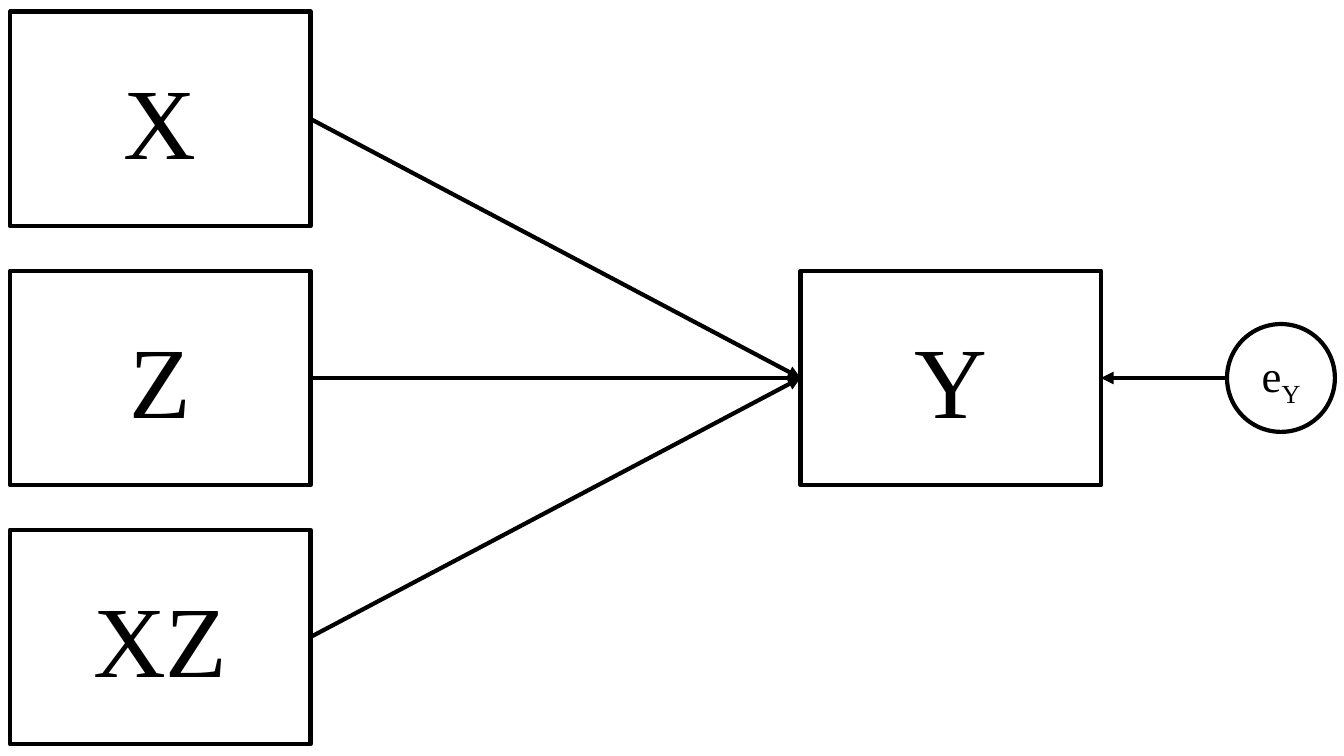
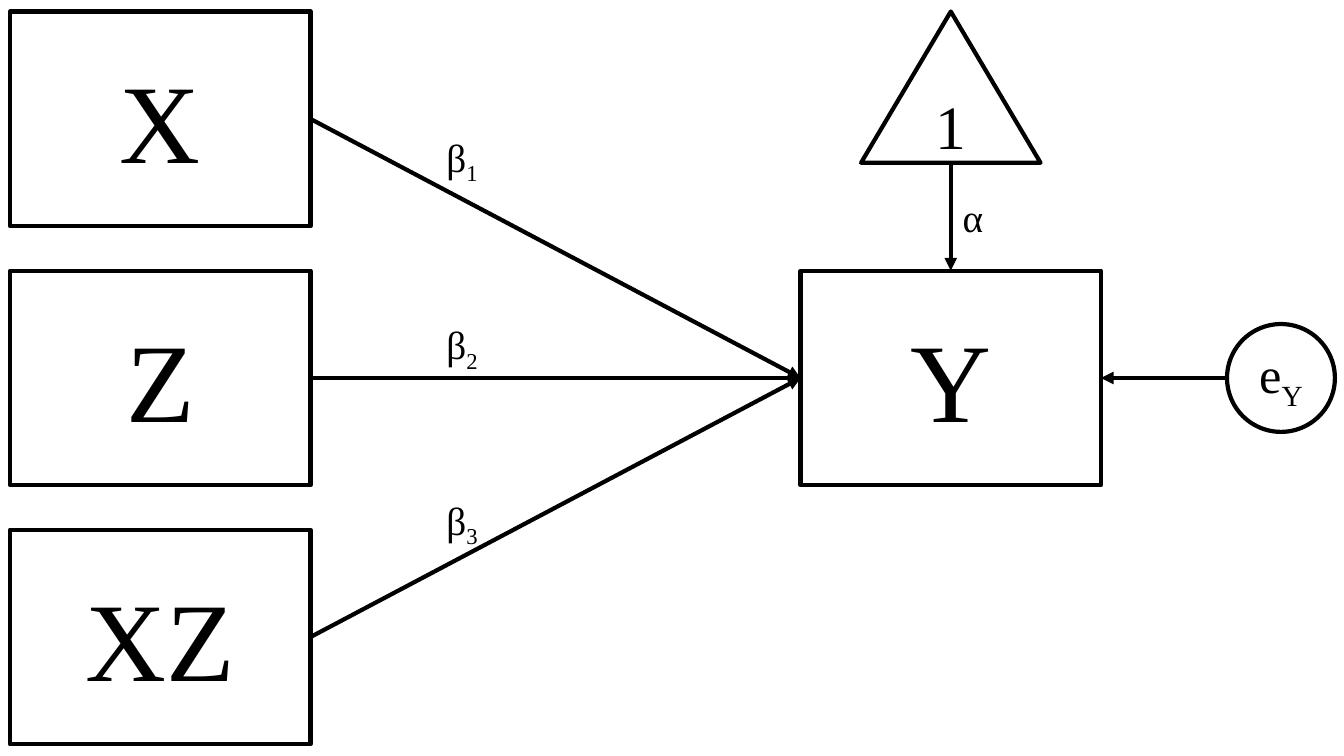
"""Build two path diagrams of a regression with an interaction."""
from lxml.etree import SubElement
from pptx import Presentation
from pptx.dml.color import RGBColor
from pptx.enum.shapes import MSO_CONNECTOR, MSO_SHAPE
from pptx.enum.text import MSO_ANCHOR, PP_ALIGN
from pptx.oxml.ns import qn
from pptx.util import Inches, Pt

BLACK, WHITE, FONT = "000000", "FFFFFF", "Times New Roman"
WIDE, HIGH = 2.98, 2.13
LEFT, RIGHT = 0.1, 7.94
MID = 3.75
STEP = 2.57
ROWS = [MID + STEP * i for i in (-1, 0, 1)]
TOP = ROWS[0] - HIGH / 2
HUB = RIGHT + WIDE / 2
ROUND = 1.07
ERROR = 12.17
TIP = 1.5


def color(code):
    return RGBColor.from_string(code)


def write(shape, text, sub="", size=28, align=PP_ALIGN.CENTER, anchor=MSO_ANCHOR.MIDDLE):
    frame = shape.text_frame
    frame.word_wrap = True
    frame.vertical_anchor = anchor
    line = frame.paragraphs[0]
    line.alignment = align
    for part, base in ((text, 0), (sub, -25000)):
        if part:
            run = line.add_run()
            run.text = part
            run.font.name = FONT
            run.font.size = Pt(size)
            run.font.color.rgb = color(BLACK)
            if base:
                run._r.get_or_add_rPr().set("baseline", str(base))


deck = Presentation()
deck.slide_width, deck.slide_height = Inches(13.33), Inches(7.5)

for big, small, full in ((72, 32, False), (80, 36, True)):
    shapes = deck.slides.add_slide(deck.slide_layouts[6]).shapes

    nodes = [(MSO_SHAPE.RECTANGLE, LEFT, row - HIGH / 2, WIDE, HIGH, name, "", big)
             for name, row in zip(("X", "Z", "XZ"), ROWS)]
    nodes += [(MSO_SHAPE.RECTANGLE, RIGHT, MID - HIGH / 2, WIDE, HIGH, "Y", "", big),
              (MSO_SHAPE.OVAL, ERROR, MID - ROUND / 2, ROUND, ROUND, "e", "Y", small)]
    paths = [(LEFT + WIDE, row, RIGHT, MID) for row in ROWS]
    paths += [(ERROR, MID, RIGHT + WIDE, MID)]
    labels = []
    if full:
        nodes += [(MSO_SHAPE.ISOSCELES_TRIANGLE, HUB - 0.89, TOP, 1.78, TIP, "1", "", 44)]
        paths += [(HUB, TOP + TIP, HUB, MID - HIGH / 2)]
        labels = [(4.33, 1.27, "β", "1"), (4.33, 3.13, "β", "2"),
                  (4.33, 4.87, "β", "3"), (9.45, 1.87, "α", "")]

    for kind, x, y, w, h, name, sub, size in nodes:
        node = shapes.add_shape(kind, Inches(x), Inches(y), Inches(w), Inches(h))
        node.shadow.inherit = False
        node.fill.solid()
        node.fill.fore_color.rgb = color(WHITE)
        node.line.color.rgb = color(BLACK)
        node.line.width = Pt(3)
        write(node, name, sub=sub, size=size)

    for ends in paths:
        arrow = shapes.add_connector(MSO_CONNECTOR.STRAIGHT, *map(Inches, ends))
        arrow.line.color.rgb = color(BLACK)
        arrow.line.width = Pt(3)
        SubElement(arrow.line._get_or_add_ln(), qn("a:tailEnd"), type="triangle")
        SubElement(arrow._element.spPr, qn("a:effectLst"))

    for x, y, name, sub in labels:
        label = shapes.add_textbox(Inches(x), Inches(y), Inches(0.6), Inches(0.57))
        write(label, name, sub=sub, align=PP_ALIGN.LEFT, anchor=MSO_ANCHOR.TOP)

deck.save("out.pptx")
